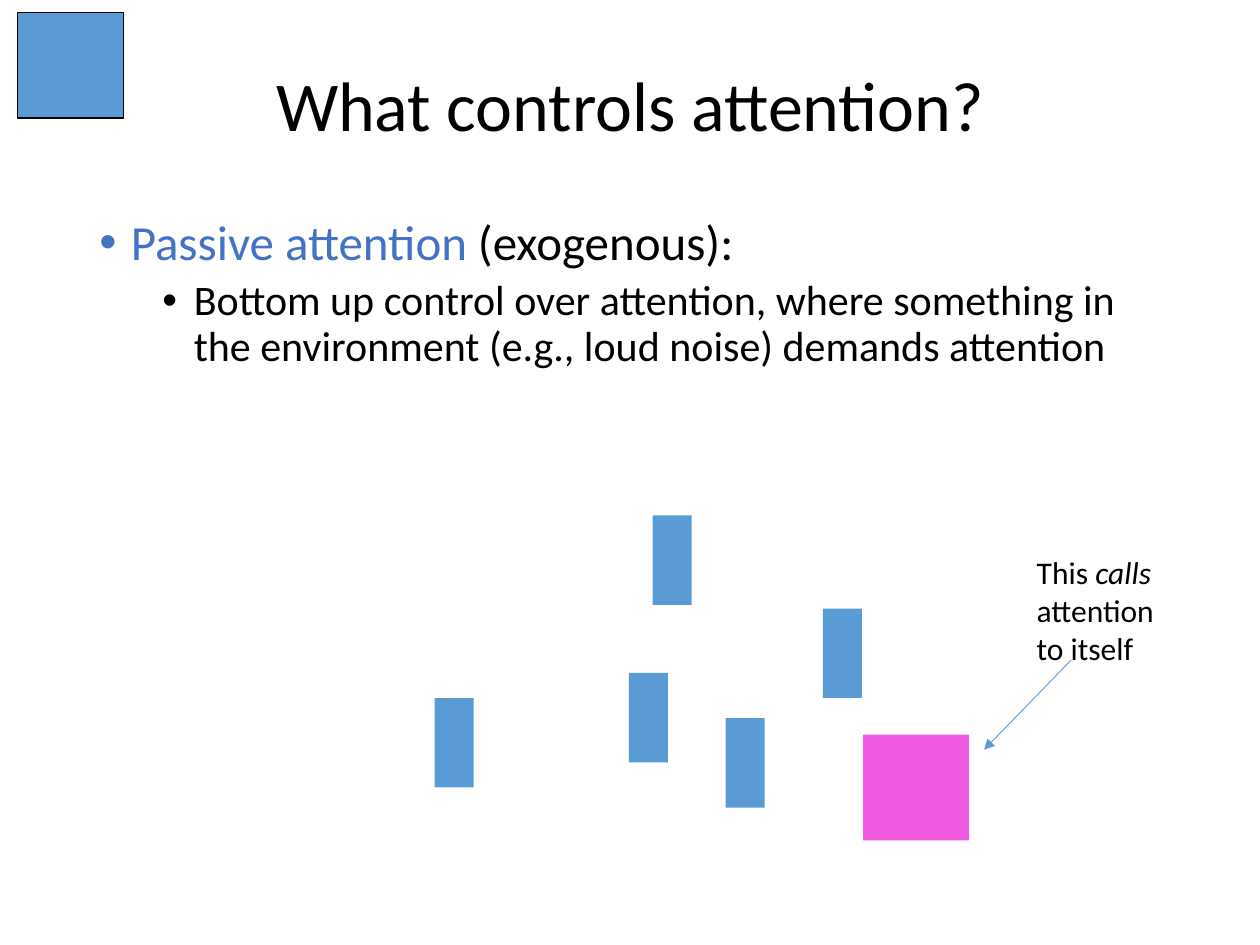
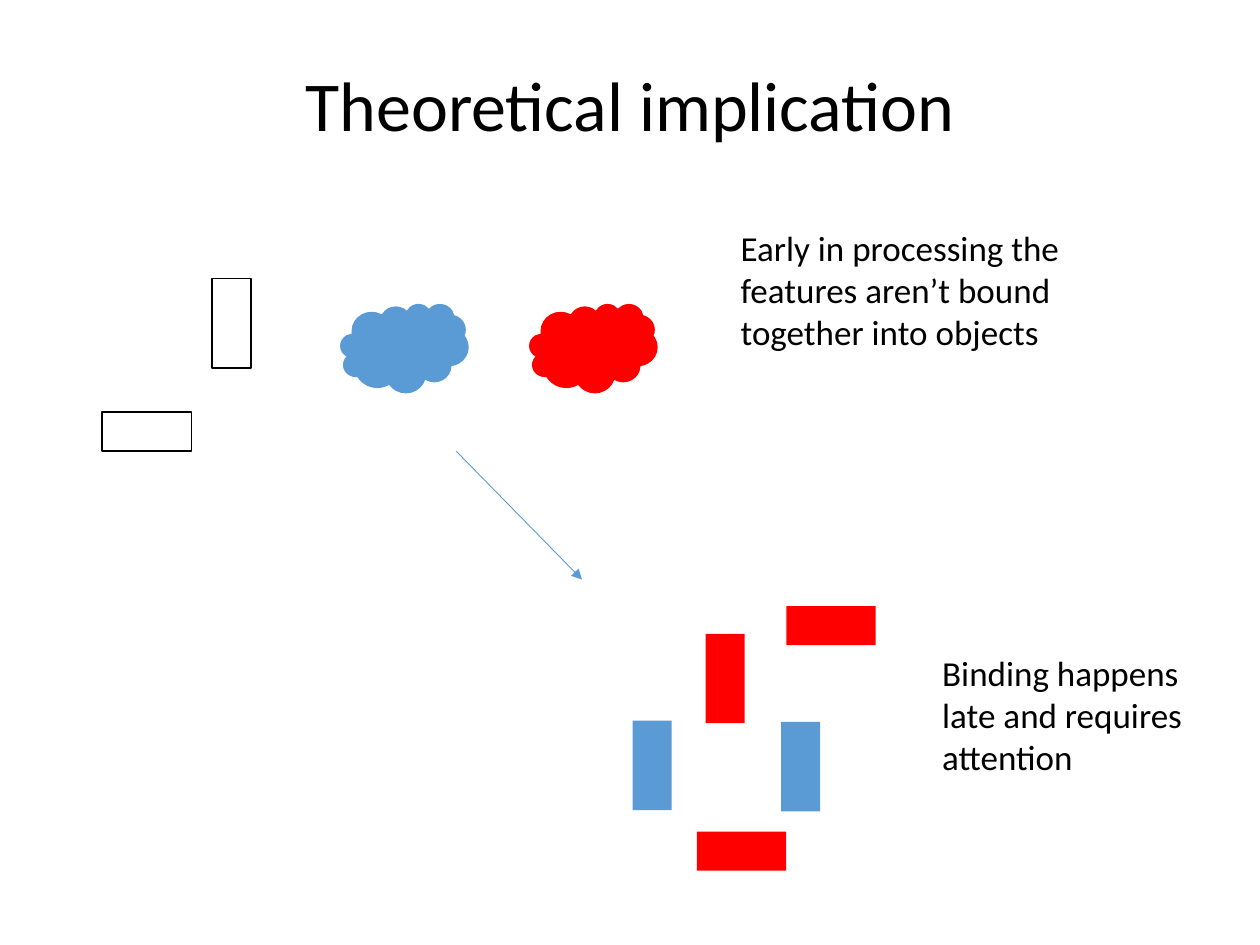
"""Build two slides on how attention is drawn and how features bind."""
from dataclasses import dataclass
from typing import NamedTuple, Optional

from lxml.etree import SubElement
from pptx import Presentation
from pptx.dml.color import RGBColor
from pptx.enum.shapes import MSO_CONNECTOR, MSO_SHAPE
from pptx.enum.text import MSO_ANCHOR, PP_ALIGN
from pptx.oxml.ns import qn
from pptx.slide import Slide
from pptx.util import Inches, Length, Pt

WIDE, HIGH = 10, 7.5
COLS, ROWS = 100, 75


@dataclass(frozen=True)
class Theme:
    """Colours, font and type sizes of the deck."""
    font: str = "Calibri"
    ink: str = "000000"
    key: str = "4472C4"
    blue: str = "5B9BD5"
    red: str = "FF0000"
    pink: str = "EE59DF"
    head: int = 40
    lead: int = 28
    point: int = 24
    text: int = 20
    note: int = 18
    edge: float = 1
    thin: float = 0.5


THEME = Theme()


class Box(NamedTuple):
    """A place on the grid, in columns and rows."""
    col: float
    row: float
    wide: float
    high: float


class Run(NamedTuple):
    """A stretch of text in one style."""
    words: str
    hue: str = THEME.ink
    slant: bool = False


@dataclass(frozen=True)
class Para:
    """A paragraph and its layout."""
    runs: tuple[Run, ...]
    size: int
    align: PP_ALIGN = PP_ALIGN.LEFT
    lines: Optional[float] = None
    space: float = 0
    level: int = 0
    dot: bool = False


@dataclass(frozen=True)
class Mark:
    """A filled or outlined shape, a bar unless sized otherwise."""
    col: float
    row: float
    fill: Optional[str] = THEME.blue
    edge: Optional[str] = None
    wide: float = 3.1
    high: float = 7.1
    turn: int = 0
    kind: MSO_SHAPE = MSO_SHAPE.RECTANGLE


class Arrow(NamedTuple):
    """A line with its head at the end point."""
    col: float
    row: float
    to_col: float
    to_row: float


HEAD = Box(6.9, 4, 86.2, 9.2)
BODY = Box(6.9, 16.8, 86.2, 50.8)
SQUARE = 8.4
FLAT = 270


def across(cols: float) -> Length:
    """Turn columns into a length."""
    return Inches(cols * WIDE / COLS)


def down(rows: float) -> Length:
    """Turn rows into a length."""
    return Inches(rows * HIGH / ROWS)


def place(box: Box) -> tuple[Length, Length, Length, Length]:
    """Turn a grid box into left, top, width and height."""
    return across(box.col), down(box.row), across(box.wide), down(box.high)


def add_dot(para, level: int) -> None:
    """Give a paragraph a hanging bullet."""
    props = para._p.get_or_add_pPr()
    props.set("marL", str(Inches(0.25 + 0.5 * level)))
    props.set("indent", str(Inches(-0.25)))
    SubElement(props, qn("a:buFont")).set("typeface", "Arial")
    SubElement(props, qn("a:buChar")).set("char", "•")


def add_text(slide: Slide, box: Box, paras: tuple[Para, ...],
             anchor: MSO_ANCHOR = MSO_ANCHOR.TOP) -> None:
    """Write paragraphs in a box, run by run."""
    frame = slide.shapes.add_textbox(*place(box)).text_frame
    frame.word_wrap = True
    frame.vertical_anchor = anchor
    for rank, item in enumerate(paras):
        para = frame.add_paragraph() if rank else frame.paragraphs[0]
        if item.dot:
            add_dot(para, item.level)
        para.level = item.level
        para.alignment = item.align
        para.line_spacing = item.lines
        para.space_before = Pt(item.space)
        for part in item.runs:
            run = para.add_run()
            run.text = part.words
            run.font.name = THEME.font
            run.font.size = Pt(item.size)
            run.font.italic = part.slant
            run.font.color.rgb = RGBColor.from_string(part.hue)


def add_mark(slide: Slide, mark: Mark) -> None:
    """Draw one mark."""
    box = Box(mark.col, mark.row, mark.wide, mark.high)
    shape = slide.shapes.add_shape(mark.kind, *place(box))
    shape.shadow.inherit = False
    shape.rotation = mark.turn
    if mark.fill:
        shape.fill.solid()
        shape.fill.fore_color.rgb = RGBColor.from_string(mark.fill)
    else:
        shape.fill.background()
    if mark.edge:
        shape.line.color.rgb = RGBColor.from_string(mark.edge)
        shape.line.width = Pt(THEME.edge)
    else:
        shape.line.fill.background()


def add_arrow(slide: Slide, arrow: Arrow) -> None:
    """Draw a thin arrow."""
    line = slide.shapes.add_connector(
        MSO_CONNECTOR.STRAIGHT, across(arrow.col), down(arrow.row),
        across(arrow.to_col), down(arrow.to_row))
    line.line.color.rgb = RGBColor.from_string(THEME.blue)
    line.line.width = Pt(THEME.thin)
    props = line.element.spPr
    SubElement(props.find(qn("a:ln")), qn("a:tailEnd")).set("type", "triangle")
    SubElement(props, qn("a:effectLst"))


def add_slide(deck, title: str, marks: tuple[Mark, ...], arrow: Arrow) -> Slide:
    """Add a slide with its title, marks and arrow."""
    slide = deck.slides.add_slide(deck.slide_layouts[6])
    head = Para((Run(title),), THEME.head, PP_ALIGN.CENTER, 0.9)
    add_text(slide, HEAD, (head,), MSO_ANCHOR.MIDDLE)
    for mark in marks:
        add_mark(slide, mark)
    add_arrow(slide, arrow)
    return slide


def add_control(deck) -> None:
    """Add the slide on passive attention."""
    marks = (
        Mark(57.6, 57),
        Mark(49.9, 53.4),
        Mark(65.3, 48.3),
        Mark(34.5, 55.4),
        Mark(51.8, 40.9),
        Mark(1.4, 1, edge=THEME.ink, wide=SQUARE, high=SQUARE),
        Mark(68.5, 58.3, THEME.pink, wide=SQUARE, high=SQUARE),
    )
    slide = add_slide(deck, "What controls attention?", marks,
                      Arrow(85, 52.4, 78.1, 59.5))
    lead = Para((Run("Passive attention", THEME.key), Run(" (exogenous):")),
                THEME.lead, lines=0.9, dot=True)
    point = Para((Run("Bottom up control over attention, where something in "
                      "the environment (e.g., loud noise) demands attention"),),
                 THEME.point, lines=0.9, space=5, level=1, dot=True)
    add_text(slide, BODY, (lead, point))
    note = Para((Run("This "), Run("calls", slant=True),
                 Run(" attention to itself")), THEME.note)
    add_text(slide, Box(81.3, 43.4, 12.7, 10.1), (note,))


def add_theory(deck) -> None:
    """Add the slide on loose and bound features."""
    clouds = tuple(
        Mark(27 + 15 * rank, 24.1, hue, wide=10.2, kind=MSO_SHAPE.CLOUD)
        for rank, hue in enumerate((THEME.blue, THEME.red)))
    frames = (
        Mark(16.8, 22.1, None, THEME.ink),
        Mark(10.1, 30.7, None, THEME.ink, turn=FLAT),
    )
    bars = (
        Mark(56, 50.3, THEME.red),
        Mark(62, 57.3),
        Mark(50.2, 57.2),
        Mark(64.4, 46.1, THEME.red, turn=FLAT),
        Mark(57.3, 64, THEME.red, turn=FLAT),
    )
    slide = add_slide(deck, "Theoretical implication", clouds + frames + bars,
                      Arrow(36.2, 35.8, 46.2, 46))
    notes = (
        (Box(57.8, 17.5, 35.3, 11.1), "Early in processing the features "
                                      "aren’t bound together into objects"),
        (Box(73.8, 51.2, 23, 11.1),
         "Binding happens late and requires attention"),
    )
    for box, words in notes:
        add_text(slide, box, (Para((Run(words),), THEME.text),))


def main() -> None:
    """Build and save the deck."""
    deck = Presentation()
    deck.slide_width, deck.slide_height = Inches(WIDE), Inches(HIGH)
    add_control(deck)
    add_theory(deck)
    deck.save("out.pptx")


if __name__ == "__main__":
    main()
